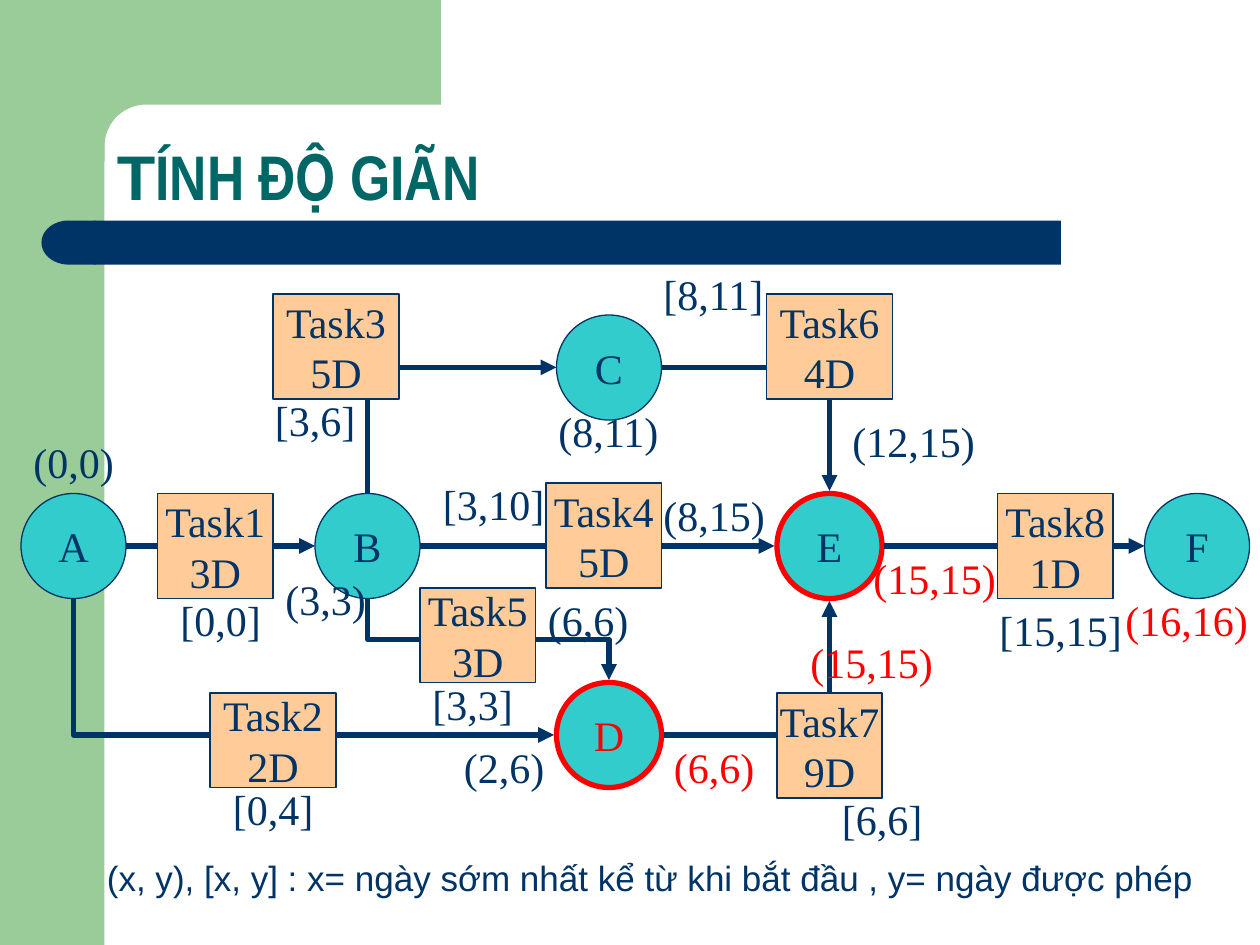
import math
from dataclasses import dataclass

import lxml.etree
import pptx
import pptx.dml.color
import pptx.enum.shapes
import pptx.enum.text
import pptx.oxml.ns
import pptx.util

Inches = pptx.util.Inches
Preset = pptx.enum.shapes.MSO_SHAPE
Connector = pptx.enum.shapes.MSO_CONNECTOR
Anchor = pptx.enum.text.MSO_ANCHOR
Align = pptx.enum.text.PP_ALIGN


@dataclass(frozen=True)
class Theme:
    """Colours, fonts and sizes of the slide."""
    navy: str = "003366"
    green: str = "99CC99"
    teal: str = "006666"
    turquoise: str = "33CCCC"
    peach: str = "FFCC99"
    red: str = "FF0000"
    serif: str = "Times New Roman"
    sans: str = "Arial"
    narrow: str = "Arial Narrow"
    title_size: float = 36
    diagram_size: float = 24
    legend_size: float = 20
    thin: float = 0.75
    thick: float = 3


THEME = Theme()
GRID = 1 / 12
NODE_SIZE = 10
LABEL_HEIGHT = 6
RING_GAP = 0.02

NODES = {
    "A": (0, 22), "B": (28, 22), "C": (51, 5),
    "D": (51, 40), "E": (72, 22), "F": (107, 22),
}
CRITICAL_NODES = "DE"
RED_LETTERS = "D"

LINKS = [
    ("B", "top", "C", "left"), ("C", "right", "E", "top"),
    ("A", "bottom", "D", "left"), ("D", "right", "E", "bottom"),
    ("B", "bottom", "D", "top"), ("A", "right", "B", "left"),
    ("B", "right", "E", "left"), ("E", "right", "F", "left"),
]

TASKS = [
    ("Task1", "3D", 13, 22, 11, 10), ("Task2", "2D", 18, 41, 12, 9),
    ("Task3", "5D", 24, 3, 12, 10), ("Task4", "5D", 50, 21, 11, 10),
    ("Task5", "3D", 38, 31, 11, 9), ("Task6", "4D", 71, 3, 12, 10),
    ("Task7", "9D", 72, 41, 10, 10), ("Task8", "1D", 93, 22, 11, 10),
]

LABELS = [
    ("(0,0)", 0, 16, 11), ("[0,0]", 14, 31, 15), ("[0,4]", 19, 49, 12),
    ("(3,3)", 24, 29, 11), ("[3,6]", 23, 12, 11), ("(8,11)", 50, 13, 14),
    ("[8,11]", 60, 0, 16), ("(2,6)", 41, 45, 11), ("(6,6)", 49, 31, 11),
    ("[3,3]", 38, 39, 11), ("[3,10]", 39, 20, 14), ("(12,15)", 78, 14, 15),
    ("(8,15)", 60, 21, 13), ("[6,6]", 77, 50, 12), ("[15,15]", 92, 32, 15),
]
CRITICAL_LABELS = [
    ("(6,6)", 61, 45, 11), ("(15,15)", 74, 35, 16),
    ("(16,16)", 104, 31, 16), ("(15,15)", 80, 27, 15),
]


def rgb(colour):
    """Return the colour object of a hexadecimal value."""
    return pptx.dml.color.RGBColor.from_string(colour)


def set_font(font, name, size, colour, bold=False):
    """Set the face, size, colour and weight of a font."""
    font.name, font.size, font.bold = name, pptx.util.Pt(size), bold
    font.color.rgb = rgb(colour)


def paint(shape, fill, line=None, width=0):
    """Give a shape a flat fill and an optional outline."""
    shape.shadow.inherit = False
    shape.fill.solid()
    shape.fill.fore_color.rgb = rgb(fill)
    if line:
        shape.line.color.rgb = rgb(line)
        shape.line.width = pptx.util.Pt(width)
    else:
        shape.line.fill.background()


def add_preset(slide, preset, box, fill, line=None, width=0):
    """Add a painted preset shape in a box of inches."""
    shape = slide.shapes.add_shape(preset, *map(Inches, box))
    paint(shape, fill, line, width)
    return shape


def fill_text(shape, lines, colour):
    """Centre lines of diagram text in a shape."""
    frame = shape.text_frame
    frame.word_wrap = False
    frame.vertical_anchor = Anchor.MIDDLE
    frame.text = "\n".join(lines)
    for paragraph in frame.paragraphs:
        paragraph.alignment = Align.CENTER
        set_font(paragraph.font, THEME.serif, THEME.diagram_size, colour)


def add_text(slide, box, text, name, size, colour):
    """Add a wrapped text box with one paragraph."""
    frame = slide.shapes.add_textbox(*map(Inches, box)).text_frame
    frame.word_wrap = True
    paragraph = frame.paragraphs[0]
    paragraph.text = text
    set_font(paragraph.font, name, size, colour)


def add_backdrop(slide, left, top, height):
    """Draw the green side panel and its rounded upper arm."""
    panel, arm_right, arm_bottom, radius = 0.83, 3.5, 0.83, 0.33
    add_preset(slide, Preset.RECTANGLE, (left, top, panel, height), THEME.green)
    angles = [math.radians(6 * step) for step in range(16)]
    corner = [(panel + radius * (1 - math.sin(angle)),
               arm_bottom + radius * (1 - math.cos(angle))) for angle in angles]
    outline = [(arm_right, 0), (arm_right, arm_bottom), *corner,
               (panel, 1.28), (0.5, 1.28), (0.5, 0)]
    points = [(Inches(left + x), Inches(top + y)) for x, y in outline]
    builder = slide.shapes.build_freeform(*points[0])
    builder.add_line_segments(points[1:], close=True)
    paint(builder.convert_to_shape(), THEME.green)


def add_heading(slide, left, top):
    """Draw the title above its navy bar with a round end."""
    bar_top, bar_height = top + 0.83, 0.35
    bar = add_preset(slide, Preset.ROUNDED_RECTANGLE,
                     (left + 0.42, bar_top, 7.67, bar_height), THEME.navy)
    bar.adjustments[0] = 0
    end = add_preset(slide, Preset.FLOWCHART_DELAY,
                     (left, bar_top, 0.43, bar_height), THEME.navy)
    end._element.spPr.xfrm.set("flipH", "1")
    title = slide.shapes.add_textbox(*map(Inches, (left + 0.5, top, 7.83, 0.83)))
    frame = title.text_frame
    frame.word_wrap = True
    frame.vertical_anchor = Anchor.BOTTOM
    paragraph = frame.paragraphs[0]
    paragraph.line_spacing = 0.9
    for text, name in (("T", THEME.sans), ("ÍNH ĐỘ GIÃN", THEME.narrow)):
        run = paragraph.add_run()
        run.text = text
        set_font(run.font, name, THEME.title_size, THEME.teal, True)


def node_side(name, side, left, top):
    """Return the point where a link meets a node."""
    column, row = NODES[name]
    reach = NODE_SIZE * GRID / 2 + RING_GAP * (name in CRITICAL_NODES)
    across, down = {"left": (-1, 0), "right": (1, 0),
                    "top": (0, -1), "bottom": (0, 1)}[side]
    return (left + (column + NODE_SIZE / 2) * GRID + across * reach,
            top + (row + NODE_SIZE / 2) * GRID + down * reach)


def add_link(slide, start, end, start_side, end_side):
    """Draw an arrow, straight or bent, between two points."""
    straight = start[1] == end[1]
    kind = Connector.STRAIGHT if straight else Connector.ELBOW
    link = slide.shapes.add_connector(kind, *map(Inches, (*start, *end)))
    link.line.color.rgb = rgb(THEME.navy)
    link.line.width = pptx.util.Pt(THEME.thick)
    properties = link._element.spPr
    tag = pptx.oxml.ns.qn
    lxml.etree.SubElement(link.line._get_or_add_ln(), tag("a:tailEnd"), type="triangle")
    lxml.etree.SubElement(properties, tag("a:effectLst"))
    vertical_ends = {"top", "bottom"}
    if not straight and not {start_side, end_side} <= vertical_ends:
        properties.find(tag("a:prstGeom")).set("prst", "bentConnector2")
    if start_side in vertical_ends:
        width, height = abs(end[1] - start[1]), abs(end[0] - start[0])
        link.left = Inches((start[0] + end[0] - width) / 2)
        link.top = Inches((start[1] + end[1] - height) / 2)
        link.width, link.height = Inches(width), Inches(height)
        upward = end[1] < start[1]
        properties.xfrm.set("rot", str((90 if upward else 270) * 60000))
        properties.xfrm.set("flipH", "1")
        properties.xfrm.set("flipV", "1" if upward else "0")


def add_network(slide, left, top):
    """Draw the nodes, links, tasks and day labels."""
    def place(column, row, width, height):
        return left + column * GRID, top + row * GRID, width * GRID, height * GRID

    for name, (column, row) in NODES.items():
        outline = (THEME.red, THEME.thick) if name in CRITICAL_NODES else (THEME.navy, THEME.thin)
        node = add_preset(slide, Preset.OVAL, place(column, row, NODE_SIZE, NODE_SIZE),
                          THEME.turquoise, *outline)
        fill_text(node, [name], THEME.red if name in RED_LETTERS else THEME.navy)
    for source, source_side, target, target_side in LINKS:
        add_link(slide, node_side(source, source_side, left, top),
                 node_side(target, target_side, left, top), source_side, target_side)
    for name, days, *cell in TASKS:
        task = add_preset(slide, Preset.RECTANGLE, place(*cell),
                          THEME.peach, THEME.navy, THEME.thin)
        fill_text(task, [name, days], THEME.navy)
    for labels, colour in ((LABELS, THEME.navy), (CRITICAL_LABELS, THEME.red)):
        for text, *cell in labels:
            add_text(slide, place(*cell, LABEL_HEIGHT), text,
                     THEME.serif, THEME.diagram_size, colour)


def main():
    """Build the slide and save the presentation."""
    presentation = pptx.Presentation()
    presentation.slide_width, presentation.slide_height = Inches(10), Inches(7.5)
    slide = presentation.slides.add_slide(presentation.slide_layouts[6])
    add_backdrop(slide, 0, 0, 7.5)
    add_heading(slide, 0.33, 0.92)
    add_network(slide, 2 * GRID, 25 * GRID)
    add_text(slide, (0.75, 6.75, 9, 0.44),
             "(x, y), [x, y] : x= ngày sớm nhất kể từ khi bắt đầu , y= ngày được phép",
             THEME.sans, THEME.legend_size, THEME.navy)
    presentation.save("out.pptx")


main()
